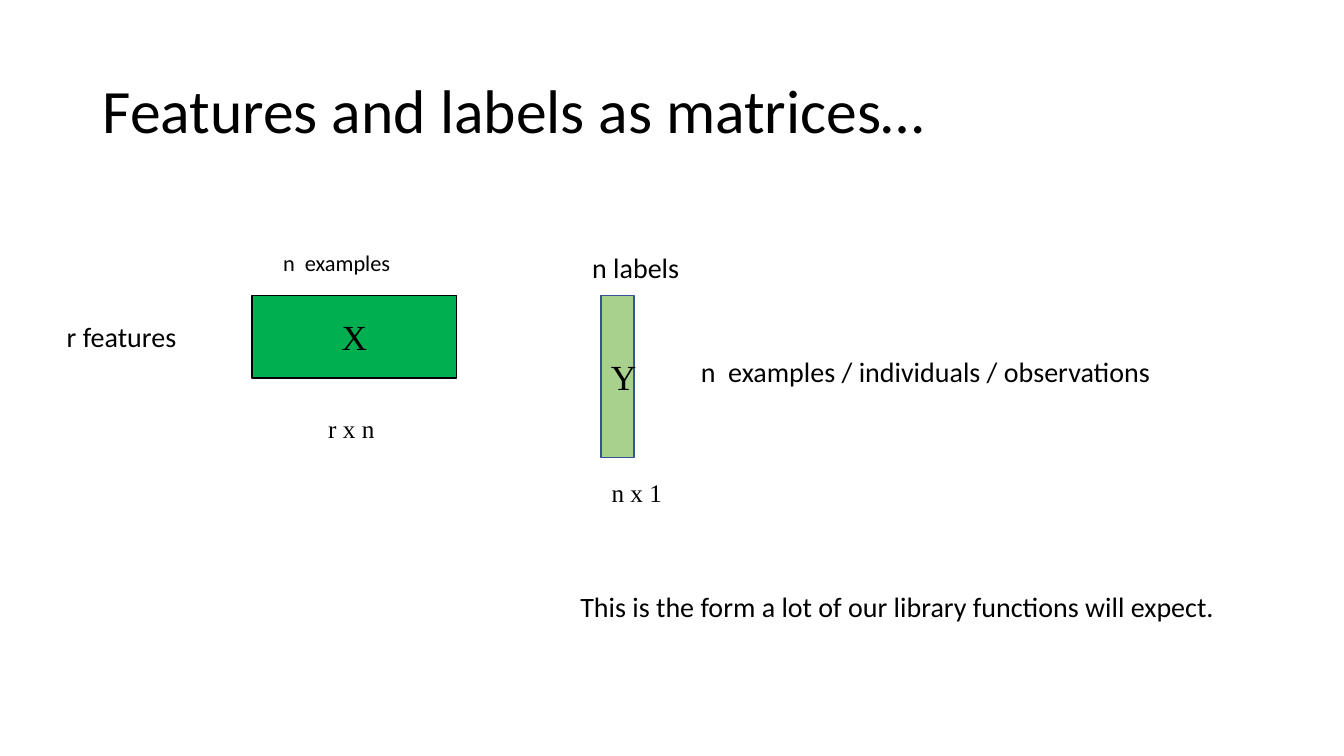
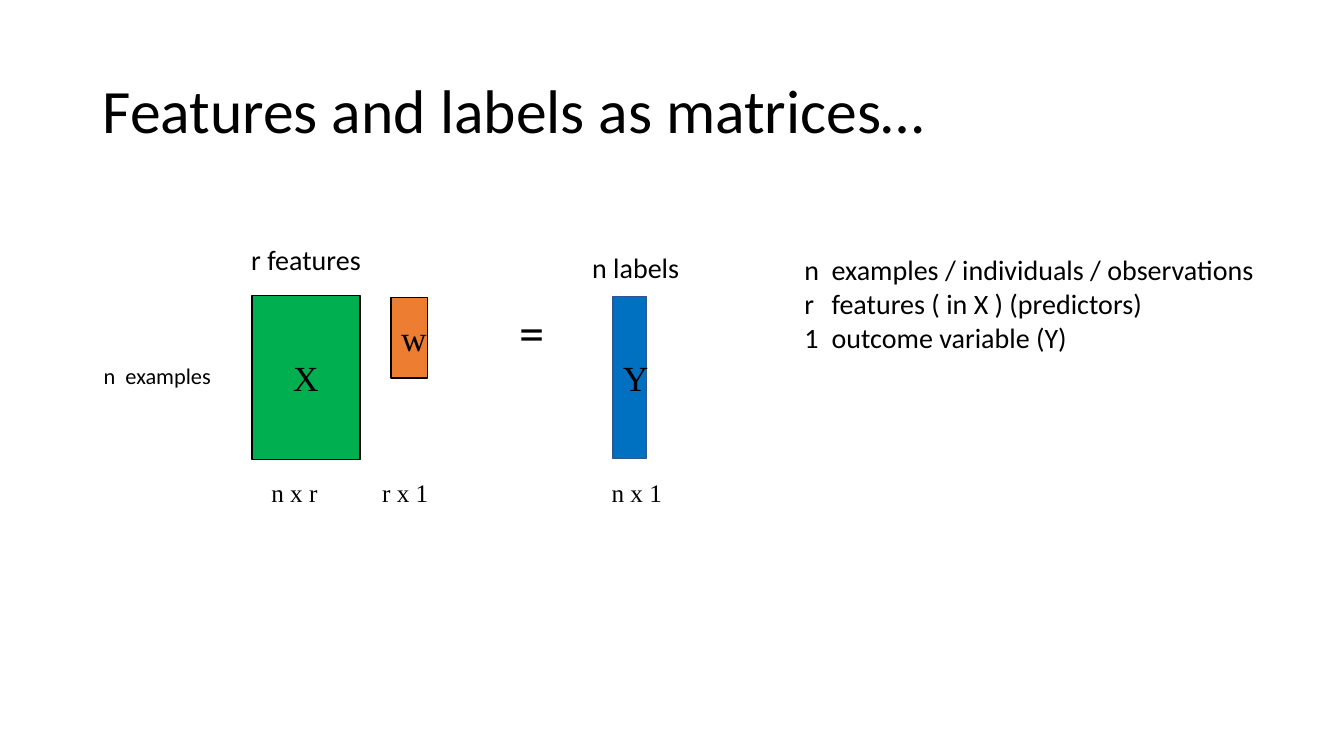
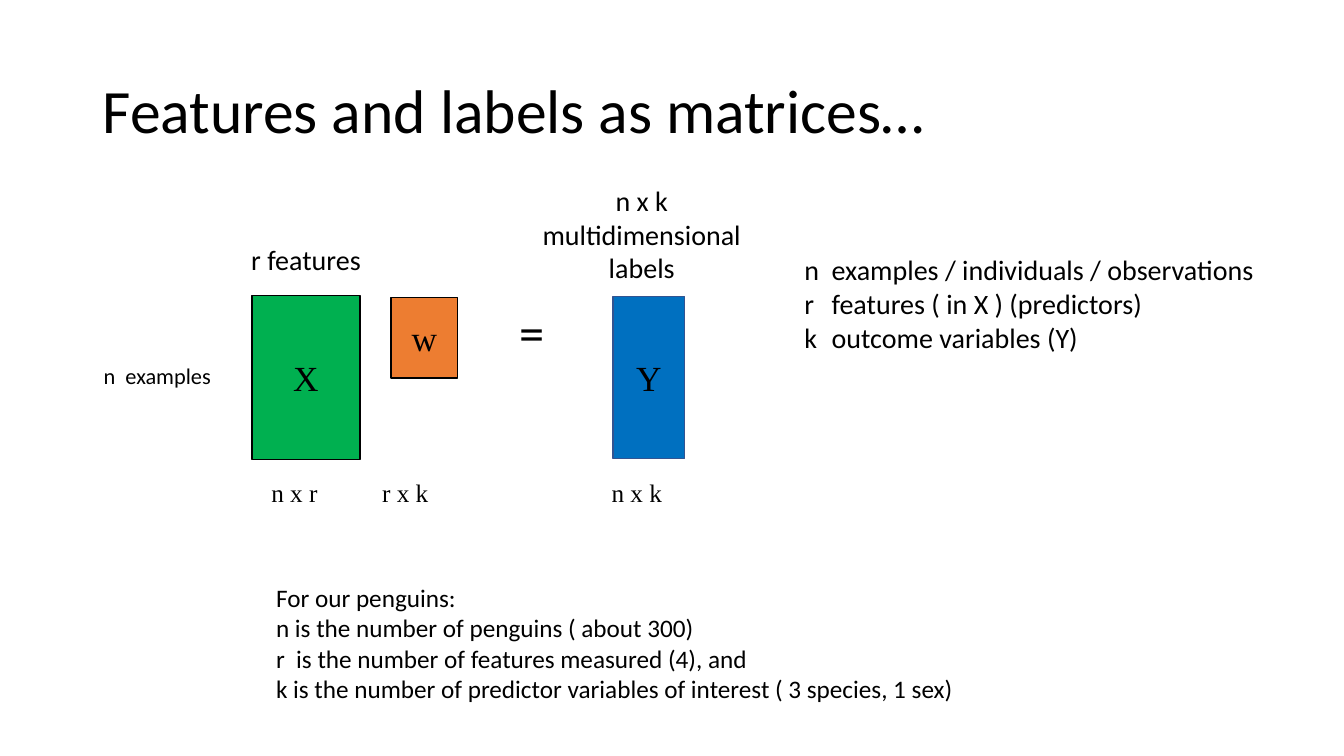
from lxml import etree
from pptx import Presentation
from pptx.dml.color import RGBColor
from pptx.enum.shapes import MSO_SHAPE
from pptx.enum.text import MSO_ANCHOR, MSO_AUTO_SIZE, PP_ALIGN
from pptx.oxml.ns import qn
from pptx.util import Pt

PX = 9144
RECTANGLE = MSO_SHAPE.RECTANGLE
LEFT = PP_ALIGN.LEFT
CENTER = PP_ALIGN.CENTER
TOP = MSO_ANCHOR.TOP
MIDDLE = MSO_ANCHOR.MIDDLE
GROW = MSO_AUTO_SIZE.SHAPE_TO_FIT_TEXT
FIXED = MSO_AUTO_SIZE.NONE

SANS = "Calibri"
SERIF = "Times New Roman"
BLACK = "000000"
GREEN = "00B050"
LIGHT_GREEN = "A9D18E"
BLUE = "0070C0"
ORANGE = "ED7D31"
DARK_BLUE = "325491"

TITLE = "Features and labels as matrices…"
DIMENSION_TOP = 469


def color(value):
    return RGBColor.from_string(value)


def px(*lengths):
    return [length * PX for length in lengths]


def add_tab_stop(paragraph, position):
    properties = paragraph._p.get_or_add_pPr()
    tab_list = etree.SubElement(properties, qn("a:tabLst"))
    etree.SubElement(tab_list, qn("a:tab"), pos=str(position * PX), algn="l")


def write_text(shape, text, size=20, font=SANS, align=CENTER, anchor=TOP,
               wrap=True, auto_size=GROW, spacing=None, tab=None):
    frame = shape.text_frame
    frame.word_wrap = wrap
    frame.auto_size = auto_size
    frame.vertical_anchor = anchor
    for index, line in enumerate(text.split("\n")):
        paragraph = frame.add_paragraph() if index else frame.paragraphs[0]
        paragraph.alignment = align
        if spacing:
            paragraph.line_spacing = spacing
        if tab:
            add_tab_stop(paragraph, tab)
        run = paragraph.add_run()
        run.text = line
        run.font.size = Pt(size)
        run.font.name = font
        run.font.color.rgb = color(BLACK)


def add_text(slide, box, text, **text_format):
    write_text(slide.shapes.add_textbox(*px(*box)), text, **text_format)


def add_matrix(slide, box, name, fill, line=BLACK):
    shape = slide.shapes.add_shape(RECTANGLE, *px(*box))
    shape.shadow.inherit = False
    shape.fill.solid()
    shape.fill.fore_color.rgb = color(fill)
    shape.line.color.rgb = color(line)
    shape.line.width = Pt(1)
    write_text(shape, name, size=25.2, font=SERIF, anchor=MIDDLE, auto_size=FIXED)


def add_dimension(slide, left, width, text, top=DIMENSION_TOP):
    add_text(slide, (left, top, width, 40), text, size=18, font=SERIF, wrap=False)


def add_examples_label(slide, left, top):
    add_text(slide, (left, top, 128, 37), "n  examples", size=16, wrap=False)


def add_label(slide, left, top, text, width=241, height=44):
    add_text(slide, (left, top, width, height), text)


def add_titled_slide(presentation):
    slide = presentation.slides.add_slide(presentation.slide_layouts[6])
    add_text(slide, (92, 40, 1150, 145), TITLE, size=44, align=LEFT,
             anchor=MIDDLE, auto_size=FIXED, spacing=0.9)
    return slide


def add_library_slide(presentation):
    slide = add_titled_slide(presentation)
    add_matrix(slide, (250, 293, 203, 82), "X", GREEN)
    add_examples_label(slide, 270, 242)
    add_label(slide, 0, 312, "r features")
    add_dimension(slide, 315, 67, "r x n", top=405)
    add_matrix(slide, (596, 293, 33, 161), "Y", LIGHT_GREEN, DARK_BLUE)
    add_label(slide, 510, 244, "n labels")
    add_dimension(slide, 596, 71, "n x 1")
    add_label(slide, 632, 347, "n  examples / individuals / observations", width=572)
    add_label(slide, 550, 580,
              "This is the form a lot of our library functions will expect.", width=680)


def add_equation_slide(presentation, outcomes, weight_width, label_width, outcome_text):
    slide = add_titled_slide(presentation)
    add_matrix(slide, (250, 293, 107, 163), "X", GREEN)
    add_examples_label(slide, 92, 354)
    add_label(slide, 183, 236, "r features")
    add_matrix(slide, (388, 295, weight_width, 80), "w", ORANGE)
    add_text(slide, (505, 294, 45, 71), "=", size=36, align=LEFT, wrap=False)
    add_matrix(slide, (608, 294, label_width, 161), "Y", BLUE, DARK_BLUE)
    add_dimension(slide, 259, 66, "n x r")
    add_dimension(slide, 369, 66, f"r x {outcomes}")
    add_dimension(slide, 596, 71, f"n x {outcomes}")
    legend = ("n\texamples / individuals / observations\n"
              "r\tfeatures ( in X ) (predictors)\n"
              f"{outcomes}\t{outcome_text}")
    add_text(slide, (788, 246, 572, 111), legend, align=LEFT, tab=27)
    return slide


def main():
    presentation = Presentation()
    presentation.slide_width, presentation.slide_height = px(1333, 750)

    add_library_slide(presentation)

    single = add_equation_slide(presentation, "1", 36, 33, "outcome variable (Y)")
    add_label(single, 510, 244, "n labels")

    multiple = add_equation_slide(presentation, "k", 66, 71, "outcome variables (Y)")
    add_label(multiple, 516, 177, "n x k multidimensional labels", height=111)
    penguins = ("For our penguins:\n"
                "n is the number of penguins ( about 300)\n"
                "r  is the number of features measured (4), and\n"
                "k is the number of predictor variables of interest ( 3 species, 1 sex)")
    add_text(multiple, (264, 573, 703, 131), penguins, size=18, align=LEFT, wrap=False)

    presentation.save("out.pptx")


if __name__ == "__main__":
    main()
